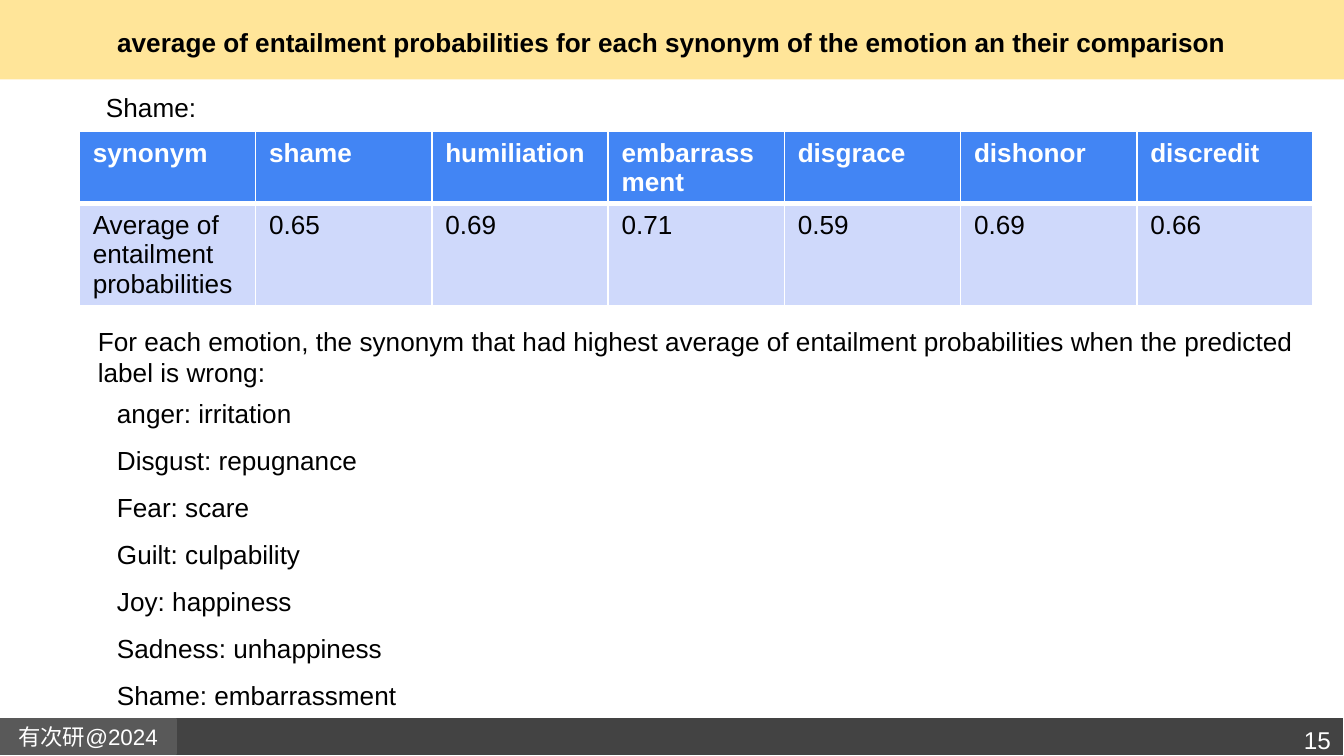
from dataclasses import dataclass

from lxml import etree
from pptx import Presentation
from pptx.dml.color import RGBColor
from pptx.enum.shapes import MSO_SHAPE
from pptx.enum.text import MSO_ANCHOR, MSO_AUTO_SIZE, PP_ALIGN
from pptx.oxml.ns import qn
from pptx.util import Inches, Pt

RECTANGLE = MSO_SHAPE.RECTANGLE
TOP, MIDDLE = MSO_ANCHOR.TOP, MSO_ANCHOR.MIDDLE
LEFT, CENTER, RIGHT = PP_ALIGN.LEFT, PP_ALIGN.CENTER, PP_ALIGN.RIGHT
NO_AUTOFIT = MSO_AUTO_SIZE.NONE


@dataclass(frozen=True)
class Theme:
    font: str = "Arial"
    text: str = "000000"
    white: str = "FFFFFF"
    title_band: str = "FFE599"
    footer_band: str = "434343"
    footer_tag: str = "595959"
    header_fill: str = "4285F4"
    value_fill: str = "CFD9FB"
    body_size: int = 14
    page_size: int = 13
    tag_size: int = 12


THEME = Theme()

SYNONYM_AVERAGES = {
    "synonym": "Average of entailment probabilities",
    "shame": "0.65",
    "humiliation": "0.69",
    "embarrassment": "0.71",
    "disgrace": "0.59",
    "dishonor": "0.69",
    "discredit": "0.66",
}
TOP_SYNONYMS = [
    "anger: irritation",
    "Disgust: repugnance",
    "Fear: scare",
    "Guilt: culpability",
    "Joy: happiness",
    "Sadness: unhappiness",
    "Shame: embarrassment",
]


def style(paragraph, size=THEME.body_size, color=THEME.text, bold=False, align=LEFT):
    paragraph.alignment = align
    font = paragraph.font
    font.name, font.size, font.bold = THEME.font, Pt(size), bold
    font.color.rgb = RGBColor.from_string(color)


def place(shape, box):
    shape.left, shape.top, shape.width, shape.height = map(Inches, box)


def fill_frame(shape, text, anchor=TOP, inset=(0.1, 0.05)):
    frame = shape.text_frame
    frame.word_wrap = True
    frame.auto_size = NO_AUTOFIT
    frame.vertical_anchor = anchor
    frame.margin_left = frame.margin_right = Inches(inset[0])
    frame.margin_top = frame.margin_bottom = Inches(inset[1])
    frame.text = text
    return frame.paragraphs


def set_text(shape, text, anchor=TOP, inset=(0.1, 0.05), **look):
    for paragraph in fill_frame(shape, text, anchor, inset):
        style(paragraph, **look)


def add_text(slide, box, text, **look):
    set_text(slide.shapes.add_textbox(*map(Inches, box)), text, **look)


def add_band(slide, box, fill, line=None):
    band = slide.shapes.add_shape(RECTANGLE, *map(Inches, box))
    band.shadow.inherit = False
    band.fill.solid()
    band.fill.fore_color.rgb = RGBColor.from_string(fill)
    if line:
        band.line.color.rgb = RGBColor.from_string(line)
        band.line.width = Pt(0.75)
    else:
        band.line.fill.background()
    return band


def send_to_back(slide, bands):
    tree = slide.shapes._spTree
    for offset, band in enumerate(bands):
        tree.insert(2 + offset, band._element)


def add_header(slide, box, text):
    left, top, width, height = box
    band = add_band(slide, box, THEME.title_band)
    title = slide.shapes.title
    place(title, (left + 0.34, top, width - 0.68, height + 0.04))
    set_text(title, text, anchor=MIDDLE, inset=(0.1, 0.1), bold=True, align=CENTER)
    return [band]


def add_footer(slide, box, tag_text, page):
    left, top, width, height = box
    band = add_band(slide, box, THEME.footer_band, THEME.white)
    tag = add_band(slide, (left, top + 0.01, 1.31, height - 0.02),
                   THEME.footer_tag, THEME.footer_tag)
    set_text(tag, tag_text, anchor=MIDDLE, inset=(0.1, 0.1),
             size=THEME.tag_size, color=THEME.white, align=CENTER)
    add_text(slide, (left + width - 1.05, top - 0.04, 1.05, 0.37), page,
             inset=(0.1, 0.1), size=THEME.page_size, color=THEME.white, align=RIGHT)
    return [band, tag]


def set_borders(cell, top_width, bottom_width):
    properties = cell._tc.get_or_add_tcPr()
    widths = {"a:lnL": 1, "a:lnR": 1, "a:lnT": top_width, "a:lnB": bottom_width}
    for position, (edge, width) in enumerate(widths.items()):
        line = etree.Element(qn(edge), w=str(Pt(width)))
        fill = etree.SubElement(line, qn("a:solidFill"))
        etree.SubElement(fill, qn("a:srgbClr"), val=THEME.white)
        properties.insert(position, line)


def add_averages_table(slide, box, averages):
    table = slide.shapes.add_table(2, len(averages), *map(Inches, box)).table
    # Header and value rows share one thick edge
    looks = [
        (averages.keys(), THEME.header_fill, THEME.white, True, (1, 3)),
        (averages.values(), THEME.value_fill, THEME.text, False, (3, 1)),
    ]
    for row, (texts, fill, color, bold, edges) in enumerate(looks):
        for column, text in enumerate(texts):
            cell = table.cell(row, column)
            cell.text = text
            style(cell.text_frame.paragraphs[0], color=color, bold=bold)
            cell.fill.solid()
            cell.fill.fore_color.rgb = RGBColor.from_string(fill)
            set_borders(cell, *edges)


def add_synonym_list(slide, box, lines):
    synonyms = slide.placeholders[1]
    place(synonyms, box)
    for paragraph in fill_frame(synonyms, "\n".join(lines)):
        paragraph.line_spacing = 1.5
        paragraph.space_before = Pt(0)
        properties = paragraph._p.get_or_add_pPr()
        properties.set("marL", "0")
        properties.set("indent", "0")
        etree.SubElement(properties, qn("a:buNone"))
        style(paragraph)


def main():
    deck = Presentation()
    deck.slide_width = Inches(10)
    deck.slide_height = deck.slide_width * 9 // 16
    slide = deck.slides.add_slide(deck.slide_layouts[1])

    # Title and footer bands
    bands = add_header(
        slide, (0, 0, 10, 0.59),
        "average of entailment probabilities for each synonym of the emotion an their comparison")
    bands += add_footer(slide, (0, 5.34, 10, 0.28), "有次研@2024", "15")
    send_to_back(slide, bands)

    # Averages for one emotion
    add_text(slide, (0.69, 0.63, 1.68, 0.34), "Shame:")
    add_averages_table(slide, (0.59, 0.98, 9.18, 0.96), SYNONYM_AVERAGES)

    # Strongest synonym per emotion
    add_text(
        slide, (0.63, 2.37, 9.2, 0.57),
        "For each emotion, the synonym that had highest average of entailment "
        "probabilities when the predicted label is wrong:")
    add_synonym_list(slide, (0.77, 2.79, 5, 2.81), TOP_SYNONYMS)

    deck.save("out.pptx")


if __name__ == "__main__":
    main()
